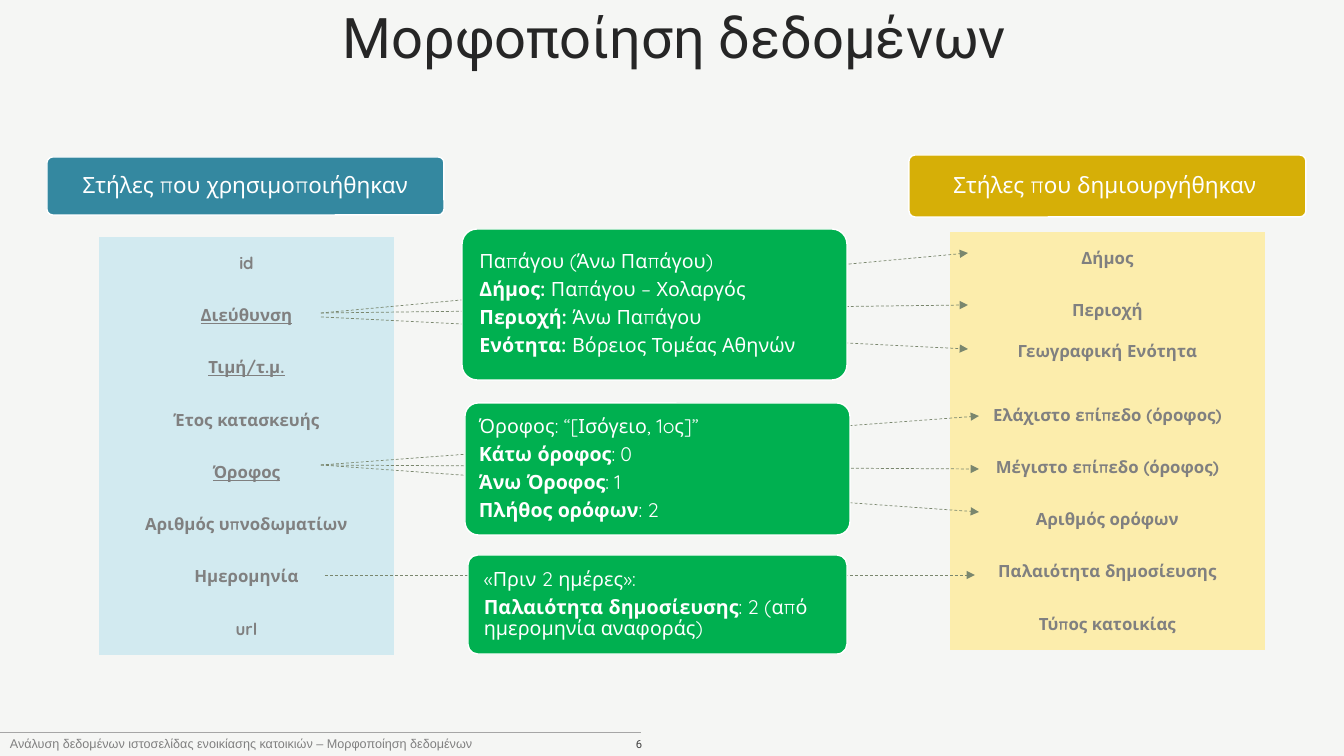
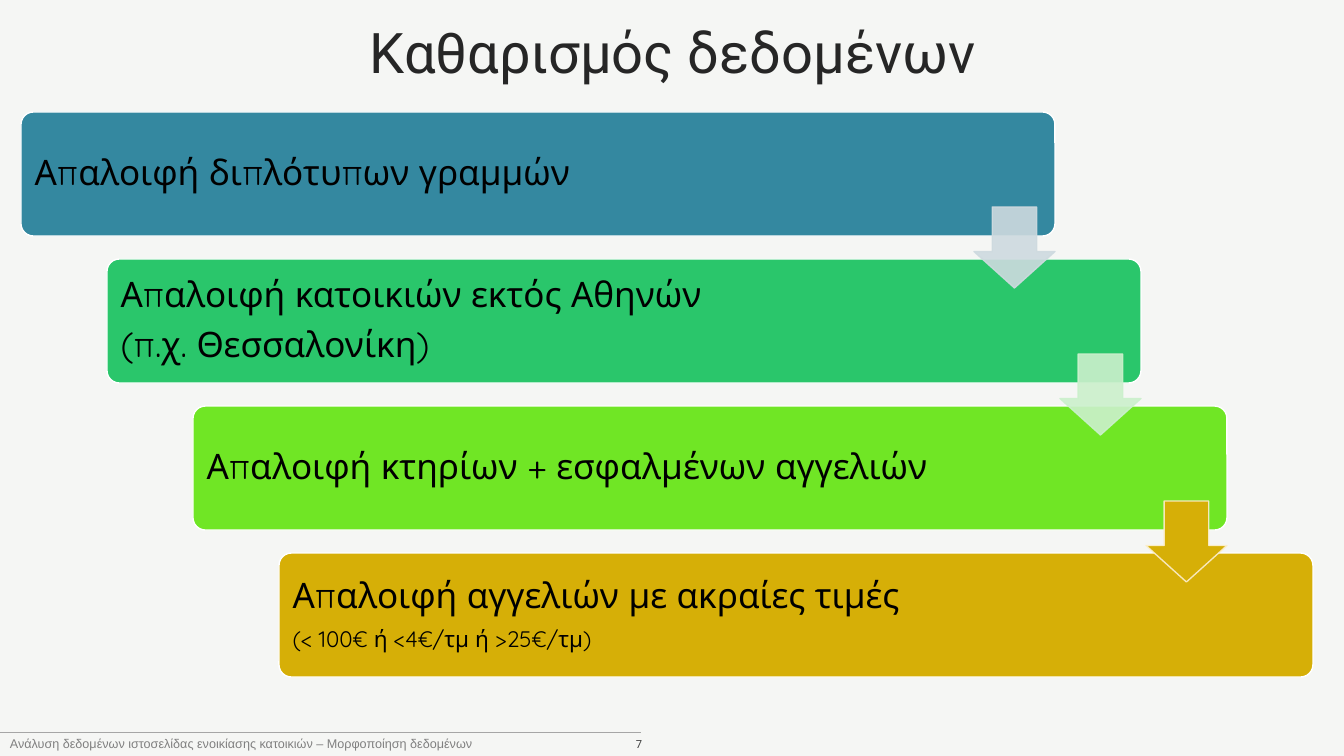
import pptx
import pptx.dml.color
import pptx.enum.dml
import pptx.enum.shapes
import pptx.enum.text
import pptx.oxml
import pptx.oxml.ns
import pptx.util

SHAPE = pptx.enum.shapes.MSO_SHAPE
ALIGN = pptx.enum.text.PP_ALIGN
ANCHOR = pptx.enum.text.MSO_ANCHOR
NO_STYLE = "{2D5ABB26-0587-4C30-8999-92F81FD0307C}"
FOOTER = "Ανάλυση δεδομένων ιστοσελίδας ενοικίασης κατοικιών – Μορφοποίηση δεδομένων"
TEAL, GOLD, GREEN, WHITE, GREY = "3488A0", "D6AF07", "00B050", "FFFFFF", "808080"


def px(*values):
    lengths = [pptx.util.Emu(round(v * 914400 / 100.8)) for v in values]
    return lengths if len(lengths) > 1 else lengths[0]


def rgb(code):
    return pptx.dml.color.RGBColor.from_string(code)


def element(parent, tag, **attributes):
    child = pptx.oxml.parse_xml(f"<a:{tag} {pptx.oxml.ns.nsdecls('a')}/>")
    for name, value in attributes.items():
        child.set(name, value)
    parent.append(child)


def paint(fill, code, alpha=100):
    fill.solid()
    fill.fore_color.rgb = rgb(code)
    if alpha < 100:
        color = fill._xPr.find(".//" + pptx.oxml.ns.qn("a:srgbClr"))
        element(color, "alpha", val=str(alpha * 1000))


def add_run(p, text, size=14, color=WHITE, font="Quicksand", bold=False, underline=False):
    r = p.add_run()
    r.text = text
    r.font.size = pptx.util.Pt(size)
    r.font.name = font
    r.font.bold = bold
    r.font.underline = underline
    r.font.color.rgb = rgb(color)


class Deck:
    """Holds the shared style and the current slide."""

    def __init__(self):
        self.prs = pptx.Presentation()
        self.prs.slide_width, self.prs.slide_height = px(1344, 756)
        paint(self.prs.slide_master.background.fill, "F5F6F4")
        self.shapes = None

    def slide(self, title, number, left, top):
        s = self.prs.slides.add_slide(self.prs.slide_layouts[5])
        self.shapes = s.shapes
        sp = s.shapes.title
        sp.left, sp.top, sp.width, sp.height = px(left, top, 1109, 81)
        tf = sp.text_frame
        tf.auto_size = pptx.enum.text.MSO_AUTO_SIZE.NONE
        tf.vertical_anchor = ANCHOR.MIDDLE
        p = tf.paragraphs[0]
        p.alignment = ALIGN.CENTER
        p.line_spacing = 0.9
        add_run(p, title, size=40, color="262626", font="Roboto")
        self.label(559, 93, str(number), ALIGN.RIGHT, size=8, color="404040", font="Roboto")
        self.label(0, 641, FOOTER, ALIGN.LEFT, size=9, color=GREY, font="Arial")
        self.line((0, 732), (641, 732), "A6A6A6")

    def label(self, left, width, text, align, **style):
        tf = self.shapes.add_textbox(*px(left, 716, width, 40)).text_frame
        tf.word_wrap = True
        tf.vertical_anchor = ANCHOR.BOTTOM
        p = tf.paragraphs[0]
        p.alignment = align
        add_run(p, text, **style)

    def line(self, start, end, color, arrow=False):
        kind = pptx.enum.shapes.MSO_CONNECTOR.STRAIGHT
        sp = self.shapes.add_connector(kind, *px(*start, *end))
        sp.line.width = pptx.util.Pt(0.5)
        paint(sp.line.fill, color)
        if arrow:
            sp.line.dash_style = pptx.enum.dml.MSO_LINE.DASH
            element(sp.line._get_or_add_ln(), "tailEnd", type="triangle")
        element(sp._element.spPr, "effectLst")

    def shape(self, kind, box, adjustments, fill, line, alpha=100, line_alpha=100):
        sp = self.shapes.add_shape(kind, *px(*box))
        sp.shadow.inherit = False
        for i, value in enumerate(adjustments):
            sp.adjustments[i] = value
        paint(sp.fill, fill, alpha)
        paint(sp.line.fill, line, line_alpha)
        sp.line.width = pptx.util.Pt(1)
        return sp

    def card(self, box, fill, paragraphs, size=14, color=WHITE, align=ALIGN.LEFT, left=10, right=10):
        tf = self.shape(SHAPE.ROUNDED_RECTANGLE, box, [0.1], fill, WHITE).text_frame
        tf.word_wrap = True
        tf.vertical_anchor = ANCHOR.MIDDLE
        tf.margin_left, tf.margin_right, tf.margin_top, tf.margin_bottom = px(left, right, 0, 0)
        for i, runs in enumerate(paragraphs):
            p = tf.add_paragraph() if i else tf.paragraphs[0]
            p.alignment = align
            p.line_spacing = 0.9
            p.space_after = pptx.util.Pt(0.35 * size)
            for text, style in runs:
                add_run(p, text, **{"size": size, "color": color, **style})

    def arrow(self, left, top, fill, line, alpha):
        self.shape(SHAPE.DOWN_ARROW, (left, top, 81, 81), [0.55, 0.45], fill, line, alpha, 90)

    def column(self, box, fill, names, underlined=(), raised=()):
        table = self.shapes.add_table(len(names), 1, *px(*box)).table
        table.first_row = table.horz_banding = False
        table._tbl.tblPr[0].text = NO_STYLE
        for row, name in enumerate(names):
            cell = table.cell(row, 0)
            paint(cell.fill, fill)
            cell.vertical_anchor = ANCHOR.MIDDLE
            if name in raised:
                cell.margin_top, cell.margin_bottom = px(0, 22)
            p = cell.text_frame.paragraphs[0]
            p.alignment = ALIGN.CENTER
            add_run(p, name, size=12, color=GREY, bold=True, underline=name in underlined)


def plain(text, **style):
    return [(text, style)]


def pair(name, value):
    return [(name, {"bold": True}), (value, {})]


def formatting(deck):
    deck.slide("Μορφοποίηση δεδομένων", 6, 120, 0)
    deck.column(
        (99, 237, 295, 418), "D2EAF0",
        ["id", "Διεύθυνση", "Τιμή/τ.μ.", "Έτος κατασκευής", "Όροφος",
         "Αριθμός υπνοδωματίων", "Ημερομηνία", "url"],
        underlined=("Διεύθυνση", "Τιμή/τ.μ.", "Όροφος"))
    deck.column(
        (950, 232, 315, 418), "FCEDAC",
        ["Δήμος", "Περιοχή", "Γεωγραφική Ενότητα", "Ελάχιστο επίπεδο (όροφος)",
         "Μέγιστο επίπεδο (όροφος)", "Αριθμός ορόφων", "Παλαιότητα δημοσίευσης",
         "Τύπος κατοικίας"],
        raised=("Γεωγραφική Ενότητα",))
    links = [
        ((321, 313), (968, 253)), ((321, 313), (968, 305)), ((321, 317), (968, 349)),
        ((321, 465), (979, 416)), ((321, 465), (979, 469)), ((321, 465), (979, 512)),
        ((325, 575), (975, 575)),
    ]
    for start, end in links:
        deck.line(start, end, "7A876E", arrow=True)
    deck.card((47, 157, 397, 58), TEAL, [plain("Στήλες που χρησιμοποιήθηκαν")],
              size=16, align=ALIGN.CENTER)
    deck.card((909, 155, 397, 62), GOLD, [plain("Στήλες που δημιουργήθηκαν")],
              size=16, align=ALIGN.CENTER, right=15)
    deck.card((462, 229, 385, 151), GREEN, [
        plain("Παπάγου (Άνω Παπάγου)"),
        pair("Δήμος: ", "Παπάγου – Χολαργός"),
        pair("Περιοχή: ", "Άνω Παπάγου"),
        pair("Ενότητα: ", "Βόρειος Τομέας Αθηνών"),
    ], left=13, right=47)
    deck.card((465, 403, 385, 132), GREEN, [
        plain("Όροφος: “[Ισόγειο, 1oς]”"),
        pair("Κάτω όροφος", ": 0"),
        pair("Άνω Όροφος", ": 1"),
        pair("Πλήθος ορόφων", ": 2"),
    ])
    deck.card((468, 555, 379, 99), GREEN, [
        plain("«Πριν 2 ημέρες»:"),
        pair("Παλαιότητα δημοσίευσης", ": 2 (από ημερομηνία αναφοράς)"),
    ], left=13)


def cleaning(deck):
    deck.slide("Καθαρισμός δεδομένων", 7, 118, 15)
    steps = [
        (TEAL, [plain("Απαλοιφή διπλότυπων γραμμών")]),
        ("2AC66B", [plain("Απαλοιφή κατοικιών εκτός Αθηνών"), plain("(π.χ. Θεσσαλονίκη)")]),
        ("70E625", [plain("Απαλοιφή κτηρίων + εσφαλμένων αγγελιών")]),
        (GOLD, [plain("Απαλοιφή αγγελιών με ακραίες τιμές"),
                plain("(< 100€ ή <4€/τμ ή >25€/τμ)", size=16)]),
    ]
    arrows = [("CEDADF", "CEDADF", 90), ("CBF0CC", "CBF0CC", 90), (GOLD, "FCEFCD", 100)]
    right, down = 86, 147
    for i, (fill, paragraphs) in enumerate(steps):
        deck.card((21 + right * i, 112 + down * i, 1034, 124), fill, paragraphs,
                  size=25, color="000000")
    for i, (fill, line, alpha) in enumerate(arrows):
        deck.arrow(974 + right * i, 207 + down * i, fill, line, alpha)


def main():
    deck = Deck()
    formatting(deck)
    cleaning(deck)
    deck.prs.save("out.pptx")


if __name__ == "__main__":
    main()
